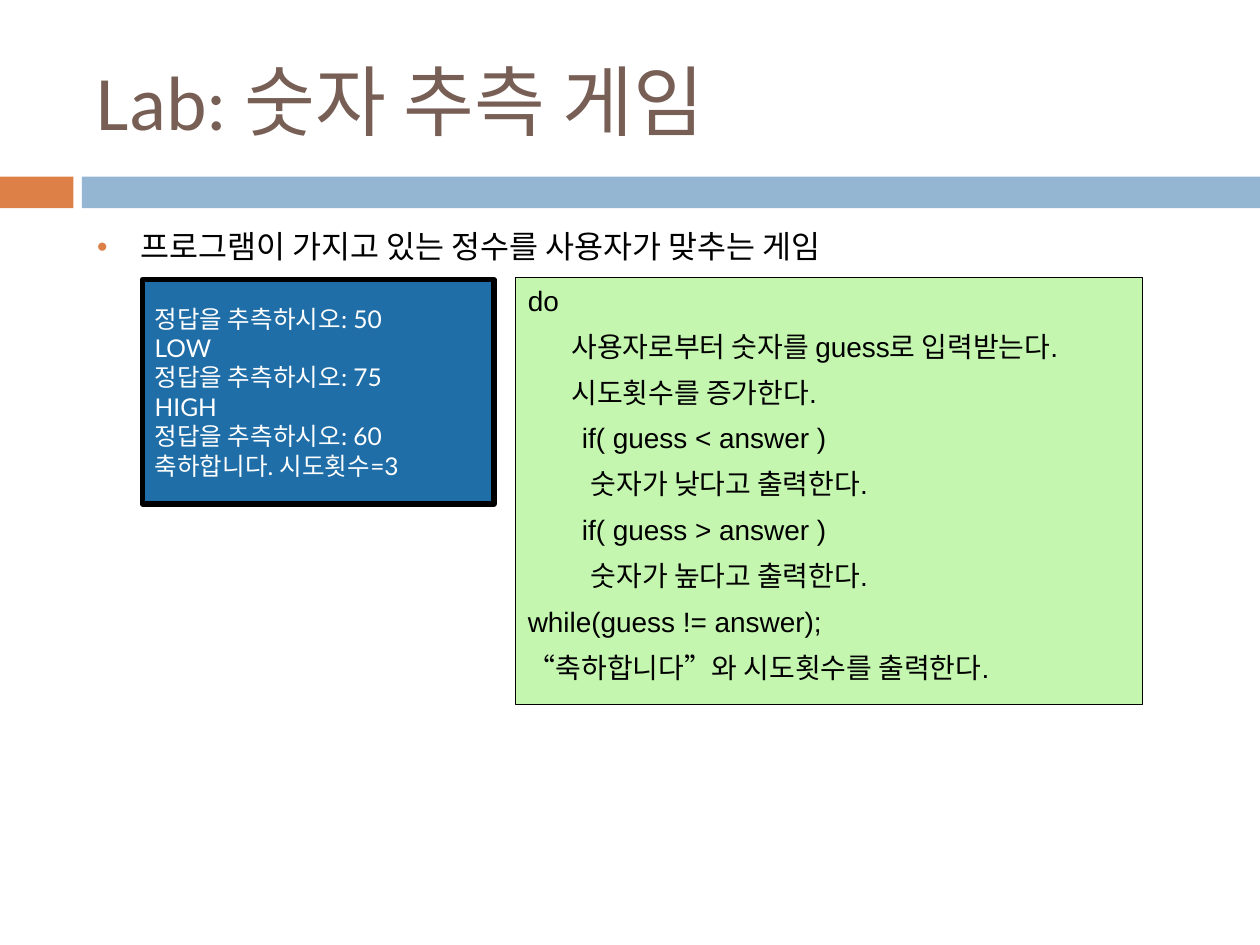
from pptx import Presentation
from pptx.dml.color import RGBColor
from pptx.enum.shapes import MSO_SHAPE
from pptx.enum.text import MSO_ANCHOR, PP_ALIGN
from pptx.oxml.ns import qn
from pptx.util import Cm, Pt
from lxml import etree

RECT = MSO_SHAPE.RECTANGLE
TOP, MID = MSO_ANCHOR.TOP, MSO_ANCHOR.MIDDLE
LEFT = PP_ALIGN.LEFT

# Content
TITLE = "Lab: 숫자 추측 게임"
POINT = "프로그램이 가지고 있는 정수를 사용자가 맞추는 게임"
OUTPUT = [
    "정답을 추측하시오: 50",
    "LOW",
    "정답을 추측하시오: 75",
    "HIGH",
    "정답을 추측하시오: 60",
    "축하합니다. 시도횟수=3",
]
CODE = [
    "do",
    "       사용자로부터 숫자를 guess로 입력받는다.",
    "       시도횟수를 증가한다.",
    "       if( guess < answer )",
    "\t숫자가 낮다고 출력한다.",
    "       if( guess > answer )",
    "\t숫자가 높다고 출력한다.",
    "while(guess != answer);",
    "“축하합니다”와 시도횟수를 출력한다.",
]

# Layout in cm: left, top, width, height
WIDE, HIGH = 25.4, 19.05
EDGE, SPAN = 1.7, 22.66
BAR_TOP, BAR_HIGH = 3.56, 0.64
BARS = [(0, 1.48, "DD8047"), (1.65, WIDE - 1.65, "94B6D2")]


def color(code):
    return RGBColor.from_string(code)


def place(shape, box):
    shape.left, shape.top, shape.width, shape.height = map(Cm, box)


def write(shape, lines, font, size, ink, anchor=TOP, gap=0):
    frame = shape.text_frame
    frame.text = "\n".join(lines)
    frame.word_wrap = True
    frame.vertical_anchor = anchor
    for i, para in enumerate(frame.paragraphs):
        para.alignment = LEFT
        para.space_before = Pt(gap if i else 0)
        for run in para.runs:
            run.font.name = font
            run.font.size = Pt(size)
            run.font.color.rgb = color(ink)


def block(slide, box, fill, line=0):
    shape = slide.shapes.add_shape(RECT, *map(Cm, box))
    shape.shadow.inherit = False
    shape.fill.solid()
    shape.fill.fore_color.rgb = color(fill)
    if line:
        shape.line.color.rgb = color("000000")
        shape.line.width = Pt(line)
    else:
        shape.line.fill.background()
    return shape


def bullet(para, sign, ink, scale, indent):
    props = para._p.get_or_add_pPr()
    props.set("marL", str(Cm(indent)))
    props.set("indent", str(-Cm(indent)))
    tint = etree.SubElement(props, qn("a:buClr"))
    etree.SubElement(tint, qn("a:srgbClr"), val=ink)
    etree.SubElement(props, qn("a:buSzPct"), val=str(scale * 1000))
    etree.SubElement(props, qn("a:buFont"), typeface="Arial")
    etree.SubElement(props, qn("a:buChar"), char=sign)


def main():
    deck = Presentation()
    deck.slide_width, deck.slide_height = Cm(WIDE), Cm(HIGH)
    slide = deck.slides.add_slide(deck.slide_layouts[5])

    # Divider bars
    for left, width, fill in BARS:
        block(slide, (left, BAR_TOP, width, BAR_HIGH), fill)

    # Title
    title = slide.shapes.title
    place(title, (EDGE, 0.64, SPAN, 2.74))
    write(title, [TITLE], "Calibri", 44, "775F55", MID)

    # Bullet point
    body = slide.shapes.add_textbox(*map(Cm, (EDGE, 4.45, SPAN, 1.1)))
    write(body, [POINT], "Arial", 18, "000000")
    bullet(body.text_frame.paragraphs[0], "●", "DD8047", 60, 0.89)

    # Program output
    screen = block(slide, (2.87, 5.64, 7.09, 4.52), "1F6EA7", 3)
    write(screen, OUTPUT, "Lato", 14, "FFFFFF", MID)

    # Pseudocode
    panel = block(slide, (10.39, 5.59, 12.65, 8.61), "C4F6B0", 0.75)
    write(panel, CODE, "Arial", 16, "000000", gap=7)

    deck.save("out.pptx")


if __name__ == "__main__":
    main()
